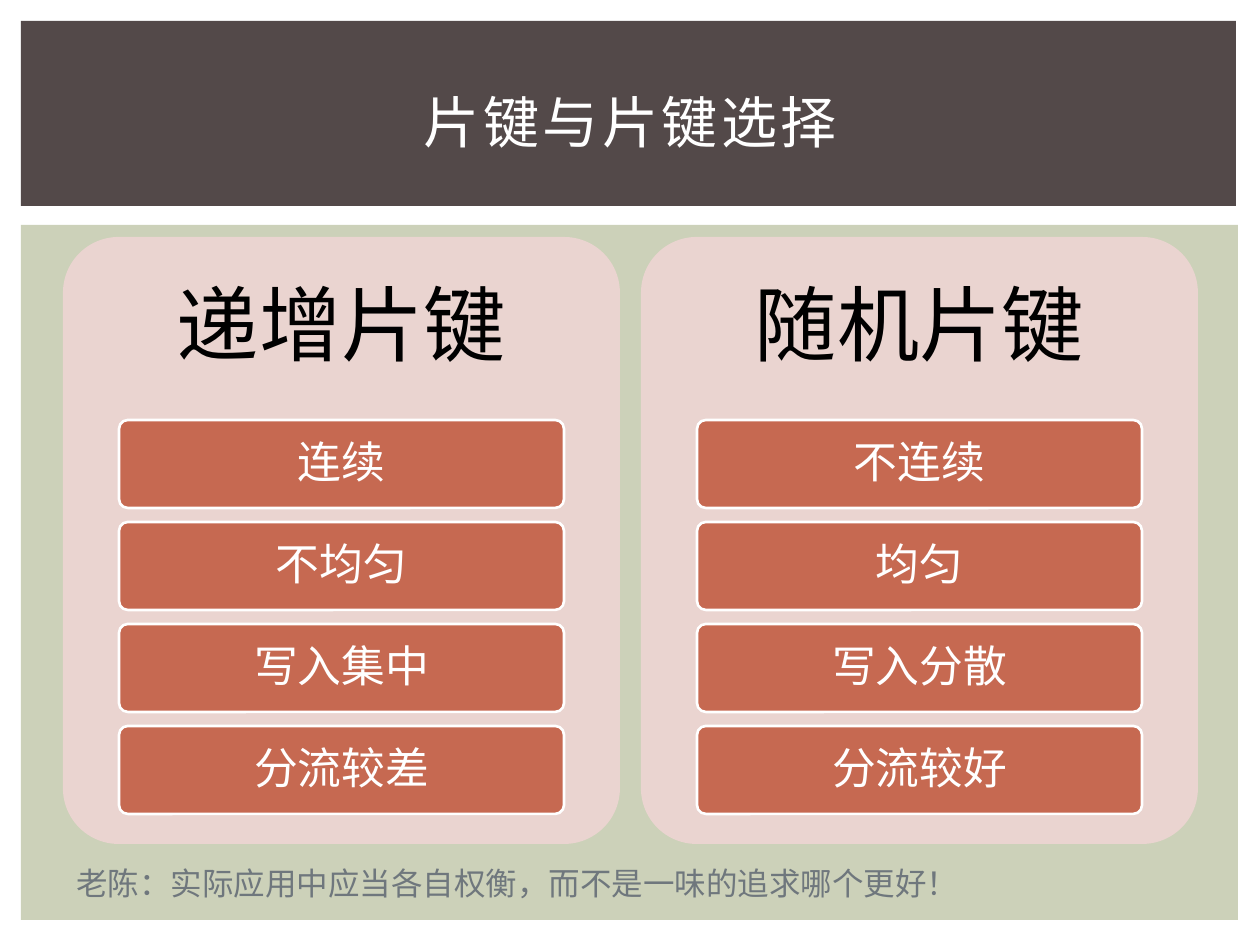
"""Build a slide that compares increasing and random shard keys."""
from pptx import Presentation
from pptx.dml.color import RGBColor as RGB
from pptx.enum.shapes import MSO_SHAPE as SHAPE
from pptx.enum.text import MSO_ANCHOR as ANCHOR, PP_ALIGN as ALIGN
from pptx.util import Emu, Pt

THEME = {
    "font": "Karla",
    "band": "534949", "body": "CCD1B9", "panel": "EAD4D0", "card": "C66951",
    "white": "FFFFFF", "black": "000000", "note": "6F777D",
    "title_size": 32, "head_size": 47, "card_size": 25, "note_size": 18,
}
PX = 914400 / 126
COLUMNS = [
    ("递增片键", ["连续", "不均匀", "写入集中", "分流较差"]),
    ("随机片键", ["不连续", "均匀", "写入分散", "分流较好"]),
]
PANEL_X, PANEL_Y, PANEL_W, PANEL_H, PANEL_STEP = 63, 237, 557, 607, 578
CARD_INDENT, CARD_Y, CARD_W, CARD_H, CARD_STEP = 56, 420, 445, 88, 102


def add_box(box, fill=None, kind=SHAPE.RECTANGLE, line=None):
    at = [Emu(round(v * PX)) for v in box]
    if fill is None:
        return slide.shapes.add_textbox(*at)
    sp = slide.shapes.add_shape(kind, *at)
    sp.shadow.inherit = False
    sp.fill.solid()
    sp.fill.fore_color.rgb = RGB.from_string(THEME[fill])
    if kind == SHAPE.ROUNDED_RECTANGLE:
        sp.adjustments[0] = 0.1
    if line:
        sp.line.color.rgb = RGB.from_string(THEME[line])
        sp.line.width = Pt(1.5)
    else:
        sp.line.fill.background()
    return sp


def write(sp, text, size, color, align=ALIGN.CENTER, spacing=None, **frame):
    tf = sp.text_frame
    for name, value in ({"word_wrap": True, "vertical_anchor": ANCHOR.MIDDLE} | frame).items():
        setattr(tf, name, value)
    p = tf.paragraphs[0]
    p.alignment, p.line_spacing = align, spacing
    r = p.add_run()
    r.text = text
    for name, value in {"name": THEME["font"], "size": Pt(THEME[size])}.items():
        setattr(r.font, name, value)
    r.font.color.rgb = RGB.from_string(THEME[color])
    return r


prs = Presentation()
prs.slide_width, prs.slide_height = Emu(round(1260 * PX)), Emu(round(945 * PX))
slide = prs.slides.add_slide(prs.slide_layouts[6])

add_box((21, 225, 1217, 695), "body")
add_box((21, 21, 1215, 185), "band")

for col, (heading, items) in enumerate(COLUMNS):
    x = PANEL_X + col * PANEL_STEP
    add_box((x, PANEL_Y, PANEL_W, PANEL_H), "panel", SHAPE.ROUNDED_RECTANGLE)
    head = add_box((x, PANEL_Y, PANEL_W, CARD_Y - PANEL_Y))
    write(head, heading, "head_size", "black", spacing=0.9)
    for row, item in enumerate(items):
        card = add_box((x + CARD_INDENT, CARD_Y + row * CARD_STEP, CARD_W, CARD_H),
                       "card", SHAPE.ROUNDED_RECTANGLE, "white")
        write(card, item, "card_size", "white", spacing=0.9)

title = write(add_box((53, 49, 1155, 145)), "片键与片键选择", "title_size", "white")
title.font._element.set("spc", "200")
write(add_box((64, 858, 916, 50)), "老陈：实际应用中应当各自权衡，而不是一味的追求哪个更好！",
      "note_size", "note", ALIGN.LEFT, word_wrap=False, vertical_anchor=ANCHOR.TOP)

prs.save("out.pptx")
